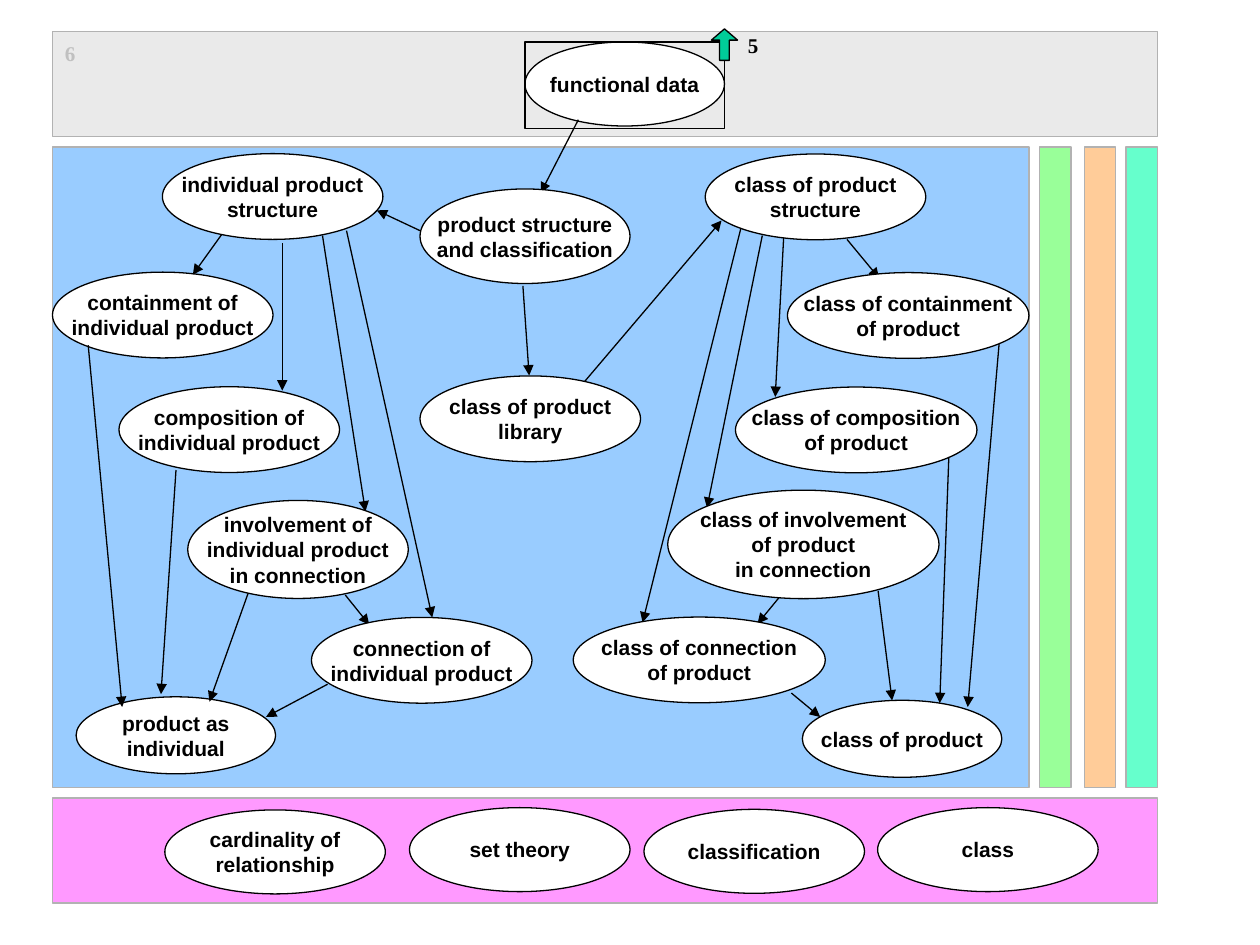
from typing import NamedTuple, Optional

from lxml.etree import SubElement
from pptx import Presentation
from pptx.dml.color import RGBColor
from pptx.enum.shapes import MSO_CONNECTOR, MSO_SHAPE
from pptx.enum.text import MSO_ANCHOR, MSO_AUTO_SIZE, PP_ALIGN
from pptx.oxml.ns import qn
from pptx.shapes.autoshape import Shape
from pptx.slide import Slide
from pptx.util import Pt

BLACK = RGBColor(0x00, 0x00, 0x00)
WHITE = RGBColor(0xFF, 0xFF, 0xFF)
SILVER = RGBColor(0xC0, 0xC0, 0xC0)
BORDER_GREY = RGBColor(0xB2, 0xB2, 0xB2)
PALE_GREY = RGBColor(0xEA, 0xEA, 0xEA)
BLUE = RGBColor(0x99, 0xCC, 0xFF)
GREEN = RGBColor(0x99, 0xFF, 0x99)
ORANGE = RGBColor(0xFF, 0xCC, 0x99)
AQUA = RGBColor(0x66, 0xFF, 0xCC)
PINK = RGBColor(0xFF, 0x99, 0xFF)
TEAL = RGBColor(0x00, 0xCC, 0x99)
LINE_WIDTH = 0.75
TEXT_SIZE = 12


class Panel(NamedTuple):
    left: float
    top: float
    width: float
    height: float
    fill: RGBColor


class Node(NamedTuple):
    left: float
    top: float
    width: float
    height: float
    lines: tuple[str, ...]


class Arrow(NamedTuple):
    start_x: float
    start_y: float
    end_x: float
    end_y: float


class Label(NamedTuple):
    left: float
    top: float
    text: str
    color: RGBColor


PANELS = [
    Panel(30, 18, 631.5, 60, PALE_GREY),
    Panel(30, 84, 558, 366, BLUE),
    Panel(594, 84, 18, 366, GREEN),
    Panel(619.5, 84, 18, 366, ORANGE),
    Panel(643.5, 84, 18, 366, AQUA),
    Panel(30, 456, 631.5, 60, PINK),
]

BACK_NODES = [
    Node(300, 24, 114, 48, ("functional data",)),
    Node(43.5, 398.2, 114, 44, ("product as", "individual")),
    Node(92.8, 87.8, 126, 49, ("individual product", "structure")),
    Node(458.5, 400.2, 114, 44, ("class of product",)),
    Node(403, 88, 126, 49, ("class of product", "structure")),
    Node(234, 461.5, 126, 48, ("set theory",)),
]

BACK_ARROWS = [
    Arrow(330.5, 68.4, 309, 110.2),
    Arrow(240, 131.8, 215.3, 120.2),
    Arrow(298.8, 163.4, 302.4, 214.6),
    Arrow(334.1, 218, 412.3, 126),
    Arrow(435.6, 134.6, 404, 290.2),
    Arrow(484, 136.8, 502.4, 159),
    Arrow(161.3, 139, 161.3, 223.2),
    Arrow(184.3, 134.6, 208.8, 292.3),
    Arrow(100.6, 268.6, 92, 396.7),
    Arrow(141.8, 339, 119.7, 401),
    Arrow(571, 195.8, 553, 404),
    Arrow(446.4, 340, 432.9, 356.4),
]

MIDDLE_NODES = [
    Node(30, 155.5, 126, 49, ("containment of", "individual product")),
    Node(450, 155.8, 138, 49, ("class of containment", "of product")),
    Node(68, 221, 126, 49, ("composition of", "individual product")),
    Node(420.3, 221.2, 138, 49, ("class of composition", "of product")),
    Node(107.3, 286, 126, 56, ("involvement of", "individual product", "in connection")),
    Node(381.6, 280.1, 155, 62, ("class of involvement", "of product", "in connection")),
]

FRONT_ARROWS = [
    Arrow(126.7, 134, 110.2, 157),
    Arrow(50.4, 197.3, 69.8, 404),
    Arrow(197.3, 340, 211, 357),
    Arrow(198, 131.8, 247, 352.8),
    Arrow(447.8, 136, 443, 226.8),
    Arrow(423.4, 130.3, 367.2, 355.7),
    Arrow(542.2, 261.4, 537, 401.8),
    Arrow(501.8, 337.7, 509.8, 400.3),
    Arrow(452.2, 396, 468.7, 409.7),
    Arrow(187.2, 391, 152, 409.7),
]

FRONT_NODES = [
    Node(178, 352.8, 126, 49, ("connection of", "individual product")),
    Node(501.5, 461.5, 126, 48, ("class",)),
    Node(368, 462.5, 126, 48, ("classification",)),
    Node(240, 214.8, 126, 49, ("class of product", "library")),
    Node(327.6, 352.6, 144, 49, ("class of connection", "of product")),
    Node(240, 108, 120, 54, ("product structure", "and classification")),
    Node(94.2, 462.8, 126, 48, ("cardinality of", "relationship")),
]

LABELS = [Label(420.3, 15, "5", BLACK), Label(30, 19.5, "6", SILVER)]


def draw_shape(page: Slide, kind: MSO_SHAPE, left: float, top: float, width: float,
               height: float, fill: Optional[RGBColor], line: RGBColor = BLACK) -> Shape:
    shape = page.shapes.add_shape(kind, Pt(left), Pt(top), Pt(width), Pt(height))
    shape.shadow.inherit = False
    if fill is None:
        shape.fill.background()
    else:
        shape.fill.solid()
        shape.fill.fore_color.rgb = fill
    shape.line.color.rgb = line
    shape.line.width = Pt(LINE_WIDTH)
    return shape


def write_lines(box: Shape, lines: tuple[str, ...], font_name: str, color: RGBColor,
                alignment: PP_ALIGN) -> None:
    frame = box.text_frame
    frame.word_wrap = False
    for index, line in enumerate(lines):
        para = frame.add_paragraph() if index else frame.paragraphs[0]
        para.alignment = alignment
        span = para.add_run()
        span.text = line
        span.font.name = font_name
        span.font.size = Pt(TEXT_SIZE)
        span.font.bold = True
        span.font.color.rgb = color


def draw_node(page: Slide, node: Node) -> None:
    ellipse = draw_shape(page, MSO_SHAPE.OVAL, *node[:4], WHITE)
    ellipse.text_frame.vertical_anchor = MSO_ANCHOR.MIDDLE
    write_lines(ellipse, node.lines, "Arial", BLACK, PP_ALIGN.CENTER)


def draw_arrow(page: Slide, arrow: Arrow) -> None:
    connector = page.shapes.add_connector(MSO_CONNECTOR.STRAIGHT, *map(Pt, arrow))
    connector.line.color.rgb = BLACK
    connector.line.width = Pt(LINE_WIDTH)
    SubElement(connector.line._get_or_add_ln(), qn("a:tailEnd"), type="triangle")
    SubElement(connector._element.spPr, qn("a:effectLst"))


def draw_label(page: Slide, label: Label) -> None:
    box = page.shapes.add_textbox(Pt(label.left), Pt(label.top), Pt(20.4), Pt(21.6))
    write_lines(box, (label.text,), "Times New Roman", label.color, PP_ALIGN.LEFT)
    box.text_frame.auto_size = MSO_AUTO_SIZE.SHAPE_TO_FIT_TEXT


def main() -> None:
    deck = Presentation()
    deck.slide_width, deck.slide_height = Pt(720), Pt(540)
    page = deck.slides.add_slide(deck.slide_layouts[6])
    for panel in PANELS:
        draw_shape(page, MSO_SHAPE.RECTANGLE, *panel, BORDER_GREY)
    for nodes, arrows in ((BACK_NODES, BACK_ARROWS), (MIDDLE_NODES, FRONT_ARROWS), (FRONT_NODES, [])):
        for node in nodes:
            draw_node(page, node)
        for arrow in arrows:
            draw_arrow(page, arrow)
    draw_shape(page, MSO_SHAPE.RECTANGLE, 300, 24, 114, 49.5, None)
    up_arrow = draw_shape(page, MSO_SHAPE.UP_ARROW, 406.5, 16.5, 15, 18, TEAL)
    up_arrow.adjustments[0] = 0.37
    up_arrow.adjustments[1] = 0.43
    for label in LABELS:
        draw_label(page, label)
    deck.save("out.pptx")


if __name__ == "__main__":
    main()
